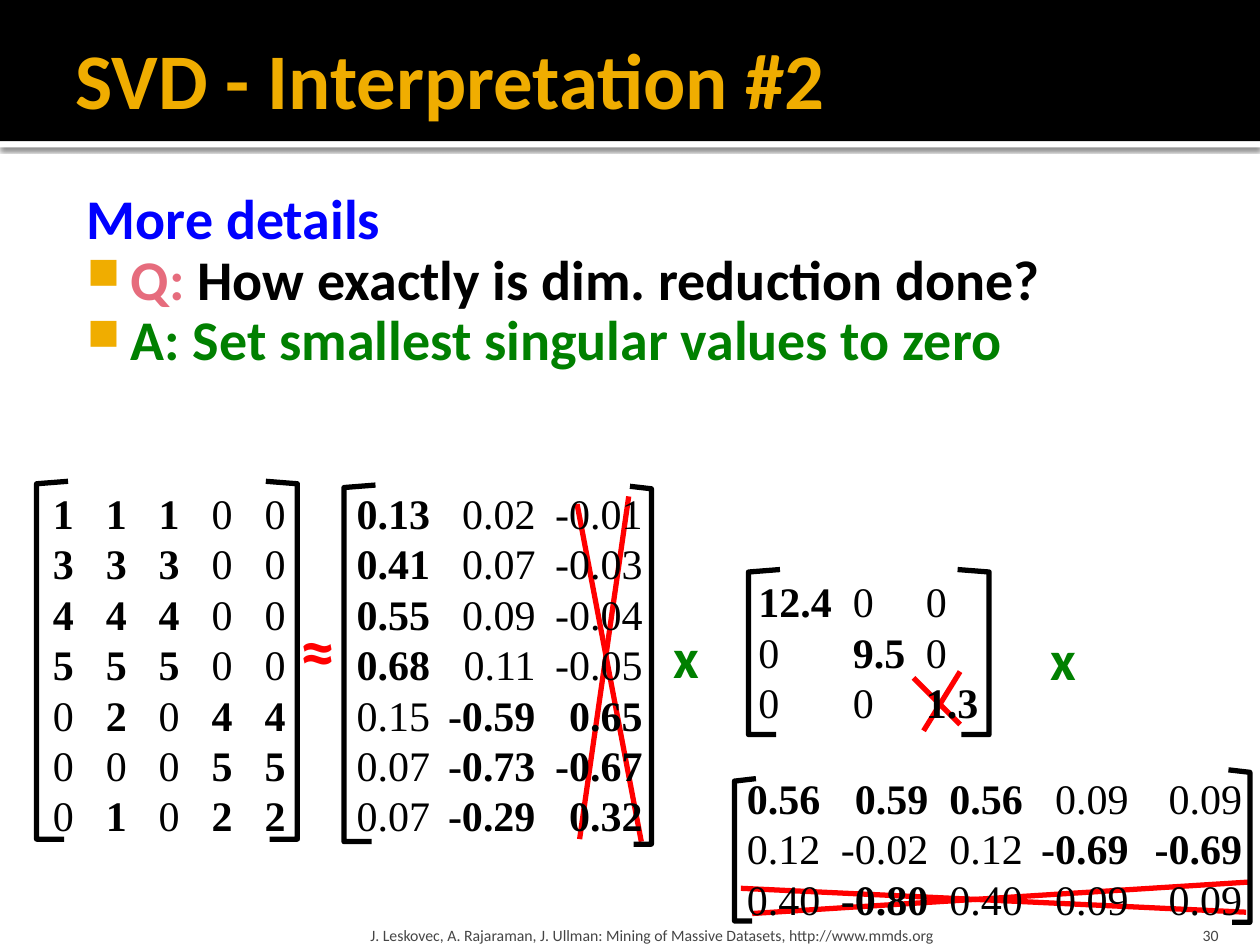
from lxml import etree
from pptx import Presentation
from pptx.dml.color import RGBColor
from pptx.enum.shapes import MSO_CONNECTOR, MSO_SHAPE
from pptx.enum.text import MSO_ANCHOR, PP_ALIGN
from pptx.oxml.ns import qn
from pptx.util import Emu, Pt

PX = 9144  # EMU per px, 100 px to the inch
TITLE_ONLY = 5
STRAIGHT, RECT = MSO_CONNECTOR.STRAIGHT, MSO_SHAPE.RECTANGLE
TOP, MIDDLE, BOTTOM = MSO_ANCHOR.TOP, MSO_ANCHOR.MIDDLE, MSO_ANCHOR.BOTTOM
LEFT, RIGHT = PP_ALIGN.LEFT, PP_ALIGN.RIGHT

BLACK = RGBColor(0x00, 0x00, 0x00)
WHITE = RGBColor(0xFF, 0xFF, 0xFF)
GOLD = RGBColor(0xF0, 0xAD, 0x00)
BLUE = RGBColor(0x00, 0x00, 0xFF)
PINK = RGBColor(0xE6, 0x6C, 0x7D)
GREEN = RGBColor(0x00, 0x80, 0x00)
RED = RGBColor(0xFF, 0x00, 0x00)
GREY = RGBColor(0x45, 0x45, 0x45)

SANS, SERIF = "Calibri", "Times New Roman"
HEADING = {"name": SANS, "size": Pt(45), "bold": True}
BODY = {"name": SANS, "size": Pt(32), "bold": True}
APPROX = {"name": SANS, "size": Pt(40), "bold": True}
FOOTER = {"name": SANS, "size": Pt(9), "bold": False}
NUMBERS = {"name": SERIF, "size": Pt(24)}


def px(*lengths):
    return [Emu(length * PX) for length in lengths]


def set_all(target, values):
    for name, value in values.items():
        setattr(target, name, value)


def add_run(paragraph, text, font, color):
    run = paragraph.add_run()
    run.text = text
    set_all(run.font, font)
    run.font.color.rgb = color


def add_xml(parent, tag, **attributes):
    return etree.SubElement(parent, qn(tag), attributes)


def set_frame(shape, insets=(10, 5, 10, 5), anchor=TOP, wrap=True):
    left, top, right, bottom = px(*insets)
    set_all(shape.text_frame, {
        "margin_left": left, "margin_top": top,
        "margin_right": right, "margin_bottom": bottom,
        "vertical_anchor": anchor, "word_wrap": wrap,
    })
    return shape.text_frame


def add_label(slide, box, text, font, color, align=LEFT, **frame):
    label = set_frame(slide.shapes.add_textbox(*px(*box)), **frame)
    label.paragraphs[0].alignment = align
    add_run(label.paragraphs[0], text, font, color)


def add_band(slide, box, color):
    band = slide.shapes.add_shape(RECT, *px(*box))
    band.shadow.inherit = False
    band.fill.solid()
    band.fill.fore_color.rgb = color
    band.line.fill.background()
    return band


def add_header(slide, box):
    left, top, width, height = box
    # White strip with a soft shadow below the black band
    strip = add_band(slide, (left, top + height, width, 5), WHITE)
    effects = strip._element.spPr.find(qn("a:effectLst"))
    shadow = add_xml(effects, "a:outerShdw", blurRad=str(Pt(2.5)), dist=str(Pt(0.8)),
                     dir="5400000", algn="tl", rotWithShape="0")
    add_xml(add_xml(shadow, "a:srgbClr", val=str(BLACK)), "a:alpha", val="60000")
    band = add_band(slide, box, BLACK)

    title = slide.shapes.title
    for part in (band, strip):  # both lie behind the title
        title._element.addprevious(part._element)
    strip._element.getparent().remove(strip._element)
    band._element.addprevious(strip._element)
    title.left, title.top, title.width, title.height = px(left + 50, top + 8, width - 100, height - 4)
    frame = set_frame(title, (10, 5, 5, 5), MIDDLE)
    frame.paragraphs[0].alignment = LEFT
    add_run(frame.paragraphs[0], "SVD - Interpretation #2", HEADING, GOLD)


def add_question(slide, box):
    lines = [
        (False, [("More details", BLUE)]),
        (True, [("Q:", PINK), (" How exactly is dim. reduction done?", BLACK)]),
        (True, [("A: Set smallest singular values to zero", GREEN)]),
    ]
    frame = set_frame(slide.shapes.add_textbox(*px(*box)), (6, 10, 10, 5))
    for index, (bulleted, runs) in enumerate(lines):
        paragraph = frame.add_paragraph() if index else frame.paragraphs[0]
        paragraph.line_spacing = 0.9
        properties = paragraph._p.get_or_add_pPr()
        properties.set("marL", str(48 * PX))
        properties.set("indent", str(-35 * PX))
        if bulleted:
            add_xml(add_xml(properties, "a:buClr"), "a:srgbClr", val=str(GOLD))
            add_xml(properties, "a:buSzPct", val="80000")
            add_xml(properties, "a:buChar", char="■")
        for text, color in runs:
            add_run(paragraph, text, BODY, color)


def add_strike(slide, box, strokes):
    left, top = box[:2]
    for x1, y1, x2, y2 in strokes:
        stroke = slide.shapes.add_connector(
            STRAIGHT, *px(left + x1, top + y1, left + x2, top + y2))
        stroke.line.color.rgb = RED
        stroke.line.width = Pt(3)
        add_xml(stroke._element.spPr, "a:effectLst")


def add_bracket(slide, spine, top, bottom, lip):
    """lip is the length of the upper arm; negative points left."""
    foot = lip - 3 if lip > 0 else lip + 3
    points = [(spine + lip, top), (spine, top + 2), (spine, bottom), (spine + foot, bottom)]
    start, *rest = [px(*point) for point in points]
    builder = slide.shapes.build_freeform(*start, scale=1.0)
    builder.add_line_segments(rest, close=False)
    bracket = builder.convert_to_shape()
    bracket.shadow.inherit = False
    bracket.fill.background()
    bracket.line.color.rgb = BLACK
    bracket.line.width = Pt(3)


def add_matrix(slide, box, rows, stops, align, inset=10, brackets=(), strike=()):
    """Cells marked * are bold; brackets and strike are relative to the box."""
    left, top = box[:2]
    add_strike(slide, box, strike)
    for spine, upper, lower, lip in brackets:
        add_bracket(slide, left + spine, top + upper, top + lower, lip)
    frame = set_frame(slide.shapes.add_textbox(*px(*box)), (inset, 5, 5, 5))
    for index, row in enumerate(rows):
        paragraph = frame.add_paragraph() if index else frame.paragraphs[0]
        tabs = add_xml(paragraph._p.get_or_add_pPr(), "a:tabLst")
        for stop in stops:
            add_xml(tabs, "a:tab", pos=str(stop * PX), algn=align)
        for column, cell in enumerate(row.split()):
            text = ("\t" if column else "") + cell.lstrip("*")
            add_run(paragraph, text, {**NUMBERS, "bold": cell.startswith("*")}, BLACK)


def add_decomposition(slide, box):
    left, top = box
    # Data matrix
    add_matrix(slide, (left, top, 217, 293),
               ["*1 *1 *1 0 0", "*3 *3 *3 0 0", "*4 *4 *4 0 0", "*5 *5 *5 0 0",
                "0 *2 0 *4 *4", "0 0 0 *5 *5", "0 *1 0 *2 *2"],
               [42 * step for step in range(1, 5)], "l", inset=17,
               brackets=[(4, 0, 284, 25), (211, 0, 284, -25)])
    # Left singular vectors
    add_matrix(slide, (left + 234, top, 275, 293),
               ["*0.13 0.02 -0.01", "*0.41 0.07 -0.03", "*0.55 0.09 -0.04",
                "*0.68 0.11 -0.05", "0.15 *-0.59 *0.65", "0.07 *-0.73 *-0.67",
                "0.07 *-0.29 *0.32"],
               [142, 227], "r", inset=24,
               brackets=[(14, 3, 286, 25), (258, 4, 288, -17)],
               strike=[(201, 284, 240, 12), (199, 18, 250, 286)])
    # Singular values
    add_matrix(slide, (left + 567, top + 70, 217, 131),
               ["*12.4 0 0", "0 *9.5 0", "0 0 *1.3"], [75, 133], "l",
               brackets=[(2, 0, 131, 25), (193, 0, 131, -25)],
               strike=[(141, 128, 170, 81), (133, 86, 170, 123)])
    # Right singular vectors
    add_matrix(slide, (left + 558, top + 226, 417, 131),
               ["*0.56 *0.59 *0.56 0.09 0.09", "0.12 -0.02 0.12 *-0.69 *-0.69",
                "0.40 *-0.80 0.40 0.09 0.09"],
               [144, 219, 303, 393], "r",
               brackets=[(0, 10, 123, 17), (409, 3, 124, -17)],
               strike=[(406, 116, 5, 97), (14, 117, 409, 92)])
    # Operators
    for x, y, width, height, sign, font, color in [
        (204, 94, 51, 77, "≈", APPROX, RED),
        (500, 107, 44, 64, "x", BODY, GREEN),
        (799, 108, 44, 64, "x", BODY, GREEN),
    ]:
        add_label(slide, (left + x, top + y, width, height), sign, font, color,
                  anchor=MIDDLE, wrap=False)


def add_footer(slide, top, height):
    add_label(slide, (289, top, 602, height),
              "J. Leskovec, A. Rajaraman, J. Ullman: Mining of Massive Datasets, http://www.mmds.org",
              FOOTER, GREY, insets=(5, 5, 5, 0), anchor=BOTTOM)
    add_label(slide, (897, top, 80, height), "30", FOOTER, GREY, RIGHT,
              insets=(10, 5, 10, 0), anchor=BOTTOM)


def main():
    deck = Presentation()
    deck.slide_width, deck.slide_height = px(1000, 750)
    slide = deck.slides.add_slide(deck.slide_layouts[TITLE_ONLY])
    add_header(slide, (0, 0, 1000, 112))
    add_question(slide, (50, 142, 900, 575))
    add_footer(slide, 720, 30)
    add_decomposition(slide, (25, 382))
    deck.save("out.pptx")


if __name__ == "__main__":
    main()
